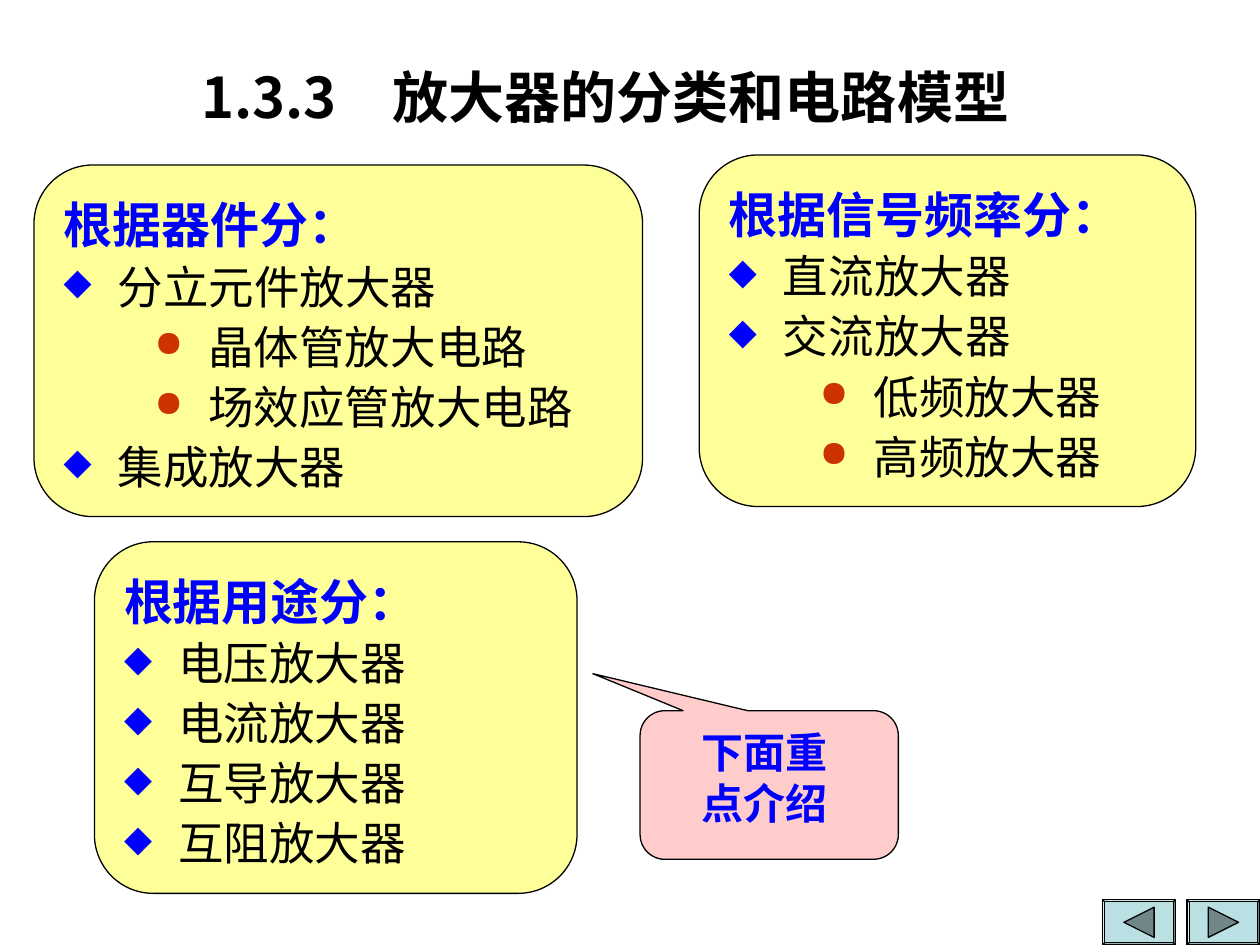
from dataclasses import dataclass

from lxml import etree
from pptx import Presentation
from pptx import util as u
from pptx.dml.color import RGBColor
from pptx.enum import shapes, text
from pptx.oxml.ns import qn

HUES = {"black": "000000", "blue": "0000FF", "red": "CC3300", "cream": "FFFF99",
        "pink": "FFCCCC", "teal": "BBE0E3", "slate": "708688"}
MARKS = {1: ("◆", "blue", 0.43), 2: ("●", "red", 1.15)}
HANG = 0.43
KIND = shapes.MSO_SHAPE


@dataclass
class Card:
    """A rounded panel with a heading and (level, text) items."""
    left: float
    top: float
    width: float
    head: str
    items: list[tuple[int, str]]


@dataclass
class Button:
    """A bevelled button whose arrow is turned by an angle."""
    left: float
    turn: int


CARDS = [
    Card(5.55, 1.23, 3.94, "根据信号频率分：",
         [(1, "直流放大器"), (1, "交流放大器"), (2, "低频放大器"), (2, "高频放大器")]),
    Card(0.27, 1.31, 4.83, "根据器件分：",
         [(1, "分立元件放大器"), (2, "晶体管放大电路"), (2, "场效应管放大电路"), (1, "集成放大器")]),
    Card(0.75, 4.3, 3.83, "根据用途分：",
         [(1, "电压放大器"), (1, "电流放大器"), (1, "互导放大器"), (1, "互阻放大器")]),
]
BUTTONS = [Button(8.75, 270), Button(9.42, 90)]


def tint(name: str) -> RGBColor:
    """Return a named colour."""
    return RGBColor.from_string(HUES[name])


def write(para, words: str, *, size: float, hue: str = "black", font: str = "Arial",
          bold: bool = False, align=text.PP_ALIGN.LEFT, space: float = 1.0) -> None:
    """Add a formatted run to a paragraph."""
    para.alignment = align
    para.line_spacing = space
    para.space_before = u.Pt(0)
    run = para.add_run()
    run.text = words
    run.font.size = u.Pt(size)
    run.font.name = font
    run.font.bold = bold
    run.font.color.rgb = tint(hue)


def mark(para, level: int) -> None:
    """Give a paragraph the bullet and indent of its level."""
    sign, hue, edge = MARKS[level]
    props = para._p.get_or_add_pPr()
    props.set("marL", str(u.Inches(edge)))
    props.set("indent", str(-u.Inches(HANG)))
    shade = etree.SubElement(props, qn("a:buClr"))
    etree.SubElement(shade, qn("a:srgbClr"), val=HUES[hue])
    etree.SubElement(props, qn("a:buSzPct"), val="80000")
    etree.SubElement(props, qn("a:buChar"), char=sign)


def place(item, left: float, top: float, width: float, height: float) -> None:
    """Move and size a shape in inches."""
    item.left, item.top = u.Inches(left), u.Inches(top)
    item.width, item.height = u.Inches(width), u.Inches(height)


def block(slide, kind, left: float, top: float, width: float, height: float,
          hue: str, *adjust: float):
    """Draw a filled and outlined preset shape."""
    item = slide.shapes.add_shape(kind, 0, 0, 0, 0)
    place(item, left, top, width, height)
    for spot, value in enumerate(adjust):
        item.adjustments[spot] = value
    item.shadow.inherit = False
    item.fill.solid()
    item.fill.fore_color.rgb = tint(hue)
    item.line.color.rgb = tint("black")
    item.line.width = u.Pt(0.75)
    return item


def panel(slide, card: Card) -> None:
    """Draw a card with its heading and bullets."""
    item = block(slide, KIND.ROUNDED_RECTANGLE, card.left, card.top, card.width, 2.79,
                 "cream", 0.167)
    frame = item.text_frame
    frame.word_wrap = True
    frame.vertical_anchor = text.MSO_ANCHOR.MIDDLE
    write(frame.paragraphs[0], card.head, size=28, hue="blue", bold=True, space=1.1)
    for level, words in card.items:
        para = frame.add_paragraph()
        write(para, words, size=26, space=1.1)
        mark(para, level)


def press(slide, button: Button) -> None:
    """Draw a button with its arrow."""
    block(slide, KIND.BEVEL, button.left, 7.14, 0.58, 0.36, "teal", 0.05)
    arrow = block(slide, KIND.ISOSCELES_TRIANGLE, button.left + 0.17, 7.2, 0.24, 0.24, "slate")
    arrow.rotation = button.turn


def main() -> None:
    """Build and save the slide."""
    deck = Presentation()
    deck.slide_width, deck.slide_height = u.Inches(10), u.Inches(7.5)
    slide = deck.slides.add_slide(deck.slide_layouts[5])

    title = slide.shapes.title
    place(title, 1.22, 0.44, 7.17, 0.64)
    title.text_frame.vertical_anchor = text.MSO_ANCHOR.MIDDLE
    title.text_frame.auto_size = text.MSO_AUTO_SIZE.NONE
    write(title.text_frame.paragraphs[0], "1.3.3\u3000放大器的分类和电路模型".replace("\u3000", "　"),
          size=32, font="Noto Sans CJK SC", bold=True, align=text.PP_ALIGN.CENTER)

    for card in CARDS:
        panel(slide, card)

    block(slide, KIND.ROUNDED_RECTANGULAR_CALLOUT, 5.08, 5.64, 2.05, 1.18,
          "pink", -0.683, -0.749, 0.167)
    note = slide.shapes.add_textbox(0, 0, 0, 0)
    place(note, 5.47, 5.72, 1.41, 0.9)
    note.text_frame.word_wrap = True
    write(note.text_frame.paragraphs[0], "下面重点介绍", size=24, hue="blue",
          font="Times New Roman", bold=True)

    for button in BUTTONS:
        press(slide, button)
    deck.save("out.pptx")


if __name__ == "__main__":
    main()
